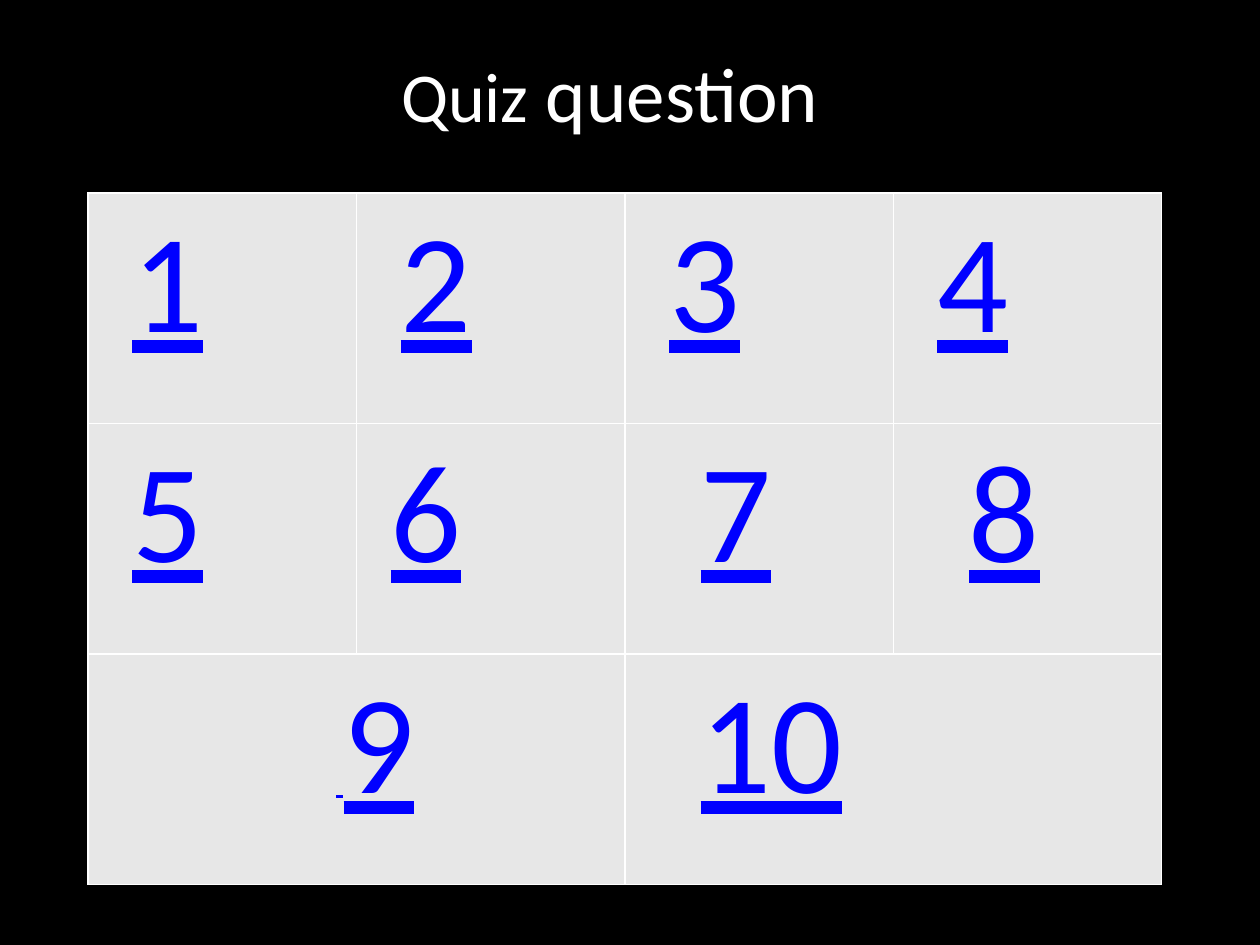
from lxml import etree
from pptx import Presentation
from pptx.dml.color import RGBColor
from pptx.enum.text import MSO_ANCHOR, MSO_AUTO_SIZE, PP_ALIGN
from pptx.oxml.ns import qn
from pptx.util import Inches, Pt

TOP = MSO_ANCHOR.TOP
FIT_SHAPE = MSO_AUTO_SIZE.SHAPE_TO_FIT_TEXT
CENTER = PP_ALIGN.CENTER
LEFT = PP_ALIGN.LEFT

THEME = {
    "font": "Calibri",
    "background": "000000",
    "title": "FFFFFF",
    "cell": "E7E7E7",
    "border": "FFFFFF",
    "number": "0000FF",
    "title_size": 44,
    "quiz_size": 40,
    "number_size": 80,
    "space_size": 18,
    "border_width": 1,
}


def add_run(paragraph, text, size, color, underline=False):
    run = paragraph.add_run()
    run.text = text
    formats = {
        "name": THEME["font"],
        "size": Pt(size),
        "bold": False,
        "underline": underline,
    }
    for name, value in formats.items():
        setattr(run.font, name, value)
    run.font.color.rgb = RGBColor.from_string(color)


def format_cell(cell):
    cell.fill.solid()
    cell.fill.fore_color.rgb = RGBColor.from_string(THEME["cell"])
    properties = cell._tc.get_or_add_tcPr()
    for position, side in enumerate(("lnL", "lnR", "lnT", "lnB")):
        line = etree.Element(qn(f"a:{side}"), w=str(Pt(THEME["border_width"])))
        fill = etree.SubElement(line, qn("a:solidFill"))
        etree.SubElement(fill, qn("a:srgbClr"), val=THEME["border"])
        properties.insert(position, line)


presentation = Presentation()
presentation.slide_width = Inches(10)
presentation.slide_height = Inches(7.5)
slide = presentation.slides.add_slide(presentation.slide_layouts[5])
slide.background.fill.solid()
slide.background.fill.fore_color.rgb = RGBColor.from_string(THEME["background"])

title = slide.shapes.title
title_box = {"left": 1.09, "top": 0.31, "width": 7.5, "height": 0.84}
for name, value in title_box.items():
    setattr(title, name, Inches(value))
frame_formats = {"word_wrap": True, "auto_size": FIT_SHAPE, "vertical_anchor": TOP}
for name, value in frame_formats.items():
    setattr(title.text_frame, name, value)
paragraph = title.text_frame.paragraphs[0]
paragraph.alignment = CENTER
add_run(paragraph, "Quiz", THEME["quiz_size"], THEME["title"])
add_run(paragraph, " question", THEME["title_size"], THEME["title"])

row_count, column_count = 3, 4
column_width, row_height = 2.13, 1.83
table = slide.shapes.add_table(
    row_count, column_count, Inches(0.7), Inches(1.53),
    Inches(column_width * column_count), Inches(row_height * row_count),
).table
table.first_row = False
table.horz_banding = False
for column in table.columns:
    column.width = Inches(column_width)
for row in table.rows:
    row.height = Inches(row_height)
for cell in table.iter_cells():
    format_cell(cell)
for column in (0, 2):
    table.cell(2, column).merge(table.cell(2, column + 1))

cells = [table.cell(row, column) for row in range(2) for column in range(column_count)]
cells += [table.cell(2, 0), table.cell(2, 2)]
indents = [0.25, 0.25, 0.25, 0.25, 0.25, 0.17, 0.5, 0.5, 1.87, 0]
tab_stop = 1.26
for number, (cell, indent) in enumerate(zip(cells, indents), start=1):
    paragraph = cell.text_frame.paragraphs[0]
    paragraph.alignment = LEFT
    properties = paragraph._p.get_or_add_pPr()
    properties.set("marL", str(Inches(indent)))
    properties.set("indent", "0")
    text = str(number)
    if number == 9:
        add_run(paragraph, " ", THEME["space_size"], THEME["number"], True)
    if number == 10:
        tabs = etree.SubElement(properties, qn("a:tabLst"))
        etree.SubElement(tabs, qn("a:tab"), pos=str(Inches(tab_stop)), algn="l")
        text = "\t" + text
    add_run(paragraph, text, THEME["number_size"], THEME["number"], True)

presentation.save("out.pptx")
